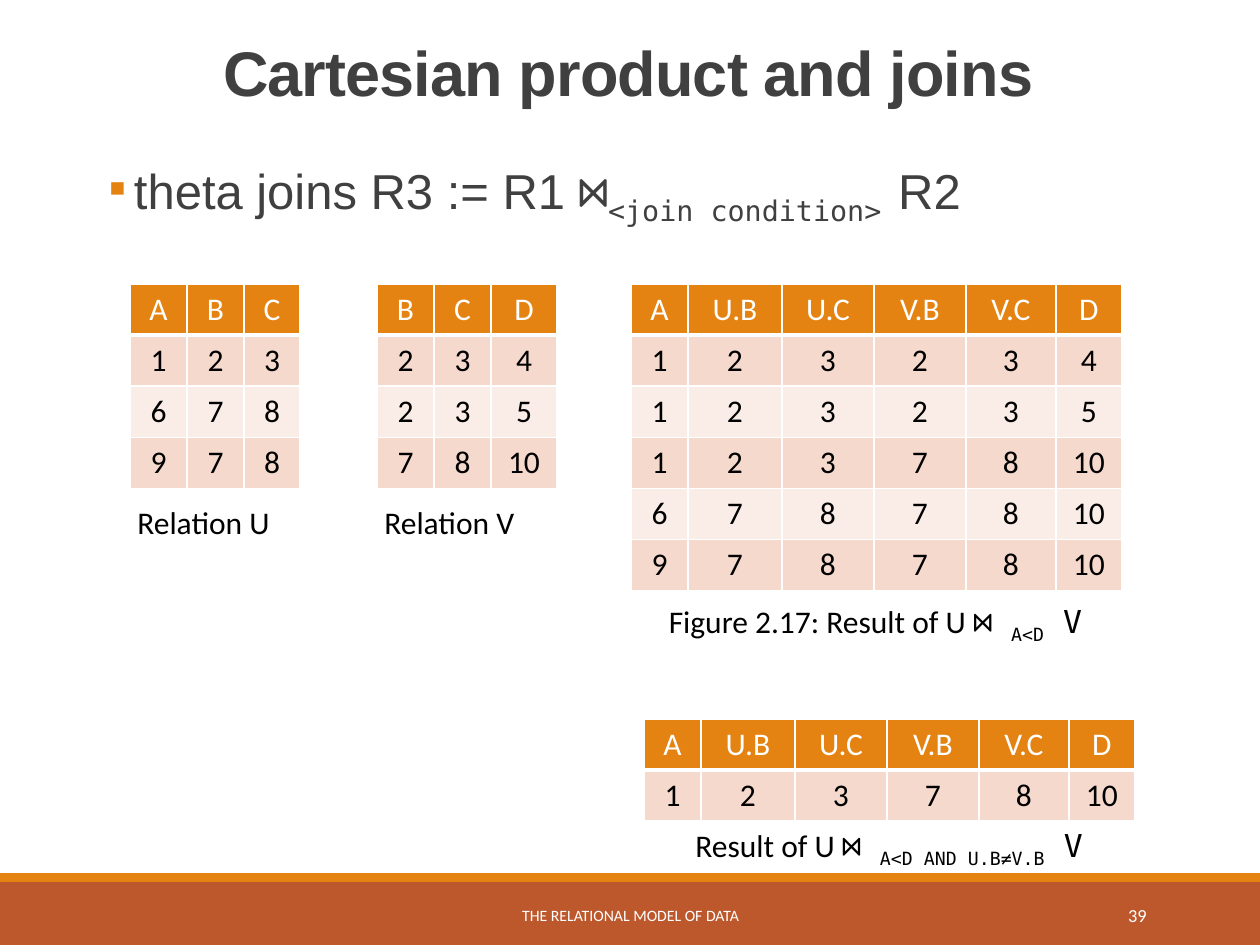
from lxml.etree import SubElement
from pptx import Presentation
from pptx.dml.color import RGBColor
from pptx.enum.shapes import MSO_SHAPE
from pptx.enum.text import MSO_ANCHOR, MSO_AUTO_SIZE, PP_ALIGN
from pptx.oxml.ns import qn
from pptx.util import Emu, Pt

SCALE = 914400 / 126
SANS, BODY, MONO = "Arial", "Calibri", "DejaVu Sans Mono"
WHITE, BLACK, GREY = "FFFFFF", "000000", "404040"
ORANGE, RUST = "E48312", "BD582C"
BANDS = ("F5D9CC", "FAEDE7")
ROW_HEIGHT = 51
LEFT, CENTER, RIGHT = PP_ALIGN.LEFT, PP_ALIGN.CENTER, PP_ALIGN.RIGHT

BARS = [((0, 882, 1260, 63), RUST), ((0, 873, 1260, 9), ORANGE)]
TITLE = [("Cartesian product and joins", SANS, 0)]
THETA_JOIN = [
    ("theta joins R3 := R1 ", SANS, 0),
    ("⋈", MONO, 0),
    ("<join condition> ", MONO, -25),
    ("R2", SANS, 0),
]
FOOTERS = [
    ((381, 890, 499, 50), "THE RELATIONAL MODEL OF DATA", 9, CENTER),
    ((1023, 890, 136, 50), "39", 10.5, RIGHT),
]
JOIN_WIDTHS = (57, 94, 92, 92, 90, 66)
JOIN_HEADER = "A U.B U.C V.B V.C D"
TABLES = [
    (130, 284, (57, 57, 56), ["A B C", "1 2 3", "6 7 8", "9 7 8"]),
    (377, 284, (57, 57, 66), ["B C D", "2 3 4", "2 3 5", "7 8 10"]),
    (631, 284, JOIN_WIDTHS, [JOIN_HEADER, "1 2 3 2 3 4", "1 2 3 2 3 5",
                             "1 2 3 7 8 10", "6 7 8 7 8 10", "9 7 8 7 8 10"]),
    (644, 719, JOIN_WIDTHS, [JOIN_HEADER, "1 2 3 7 8 10"]),
]
CAPTIONS = [
    ((125, 497, 176, 51), LEFT, [("Relation U", BODY, 0)]),
    ((372, 497, 174, 51), LEFT, [("Relation V", BODY, 0)]),
    ((650, 596, 451, 51), CENTER, [("Figure 2.17: Result of U ", BODY, 0), ("⋈ ", MONO, 0),
                                   ("A<D", MONO, -25), (" V", MONO, 0)]),
    ((683, 820, 432, 51), LEFT, [("Result of U ", BODY, 0), ("⋈ ", MONO, 0),
                                 ("A<D AND U.B≠V.B", MONO, -25), (" V", MONO, 0)]),
]


def px(value):
    return Emu(round(value * SCALE))


def color(value):
    return RGBColor.from_string(value)


def place(shape, box):
    shape.left, shape.top, shape.width, shape.height = map(px, box)


def write(paragraph, runs, size, ink, align, bold=False):
    paragraph.alignment = align
    for text, font, baseline in runs:
        run = paragraph.add_run()
        run.text = text
        run.font.size = Pt(size)
        run.font.bold = bold
        run.font.color.rgb = color(ink)
        run.font.name = font
        properties = run.font._element
        SubElement(properties, qn("a:ea"), typeface=font)
        if baseline:
            properties.set("baseline", str(baseline * 1000))


def add_bars(slide):
    for box, fill in BARS:
        bar = slide.shapes.add_shape(MSO_SHAPE.RECTANGLE, *map(px, box))
        bar.shadow.inherit = False
        bar.fill.solid()
        bar.fill.fore_color.rgb = color(fill)
        bar.line.fill.background()


def fill_title(title):
    place(title, (81, 39, 1094, 146))
    frame = title.text_frame
    frame.auto_size = MSO_AUTO_SIZE.NONE
    frame.vertical_anchor = MSO_ANCHOR.TOP
    paragraph = frame.paragraphs[0]
    paragraph.line_spacing = 0.85
    write(paragraph, TITLE, 36, GREY, CENTER, bold=True)
    for run in paragraph.runs:
        run.font._element.set("spc", "-50")


def fill_body(body):
    place(body, (81, 155, 1094, 135))
    frame = body.text_frame
    frame.auto_size = MSO_AUTO_SIZE.NONE
    frame.vertical_anchor = MSO_ANCHOR.TOP
    frame.margin_left = frame.margin_right = 0
    paragraph = frame.paragraphs[0]
    paragraph.line_spacing = 0.9
    paragraph.space_before, paragraph.space_after = Pt(2), Pt(4)
    write(paragraph, THETA_JOIN, 28, GREY, LEFT)
    properties = paragraph._p.get_or_add_pPr()
    properties.set("marL", str(px(53)))
    properties.set("indent", str(px(-25)))
    bullet_color = SubElement(properties, qn("a:buClr"))
    SubElement(bullet_color, qn("a:srgbClr"), val=ORANGE)
    SubElement(properties, qn("a:buFont"), typeface=BODY)
    SubElement(properties, qn("a:buChar"), char="▪")


def add_borders(cell, bottom):
    properties = cell._tc.get_or_add_tcPr()
    for side, points in (("L", 1), ("R", 1), ("T", 1), ("B", bottom)):
        line = SubElement(properties, qn(f"a:ln{side}"), w=str(Pt(points)))
        fill = SubElement(line, qn("a:solidFill"))
        SubElement(fill, qn("a:srgbClr"), val=WHITE)


def add_relation(slide, left, top, widths, rows):
    box = (left, top, sum(widths), ROW_HEIGHT * len(rows))
    table = slide.shapes.add_table(len(rows), len(widths), *map(px, box)).table
    for column, width in zip(table.columns, widths):
        column.width = px(width)
    for index, values in enumerate(rows):
        table.rows[index].height = px(ROW_HEIGHT)
        header = index == 0
        for position, value in enumerate(values.split()):
            cell = table.cell(index, position)
            add_borders(cell, 3 if header else 1)
            cell.fill.solid()
            cell.fill.fore_color.rgb = color(ORANGE if header else BANDS[(index - 1) % 2])
            write(cell.text_frame.paragraphs[0], [(value, BODY, 0)], 18,
                  WHITE if header else BLACK, CENTER)


def add_text(slide, box, runs, size, ink, align, wrap):
    frame = slide.shapes.add_textbox(*map(px, box)).text_frame
    frame.word_wrap = wrap
    frame.auto_size = MSO_AUTO_SIZE.NONE if wrap else MSO_AUTO_SIZE.SHAPE_TO_FIT_TEXT
    frame.vertical_anchor = MSO_ANCHOR.MIDDLE if wrap else MSO_ANCHOR.TOP
    write(frame.paragraphs[0], runs, size, ink, align)


def main():
    """Build the slide on theta joins and save it."""
    presentation = Presentation()
    presentation.slide_width, presentation.slide_height = px(1260), px(945)
    slide = presentation.slides.add_slide(presentation.slide_layouts[1])
    add_bars(slide)
    fill_title(slide.shapes.title)
    fill_body(slide.placeholders[1])
    for box, text, size, align in FOOTERS:
        add_text(slide, box, [(text, BODY, 0)], size, WHITE, align, True)
    for relation in TABLES:
        add_relation(slide, *relation)
    for box, align, runs in CAPTIONS:
        add_text(slide, box, runs, 18, BLACK, align, False)
    presentation.save("out.pptx")


if __name__ == "__main__":
    main()
